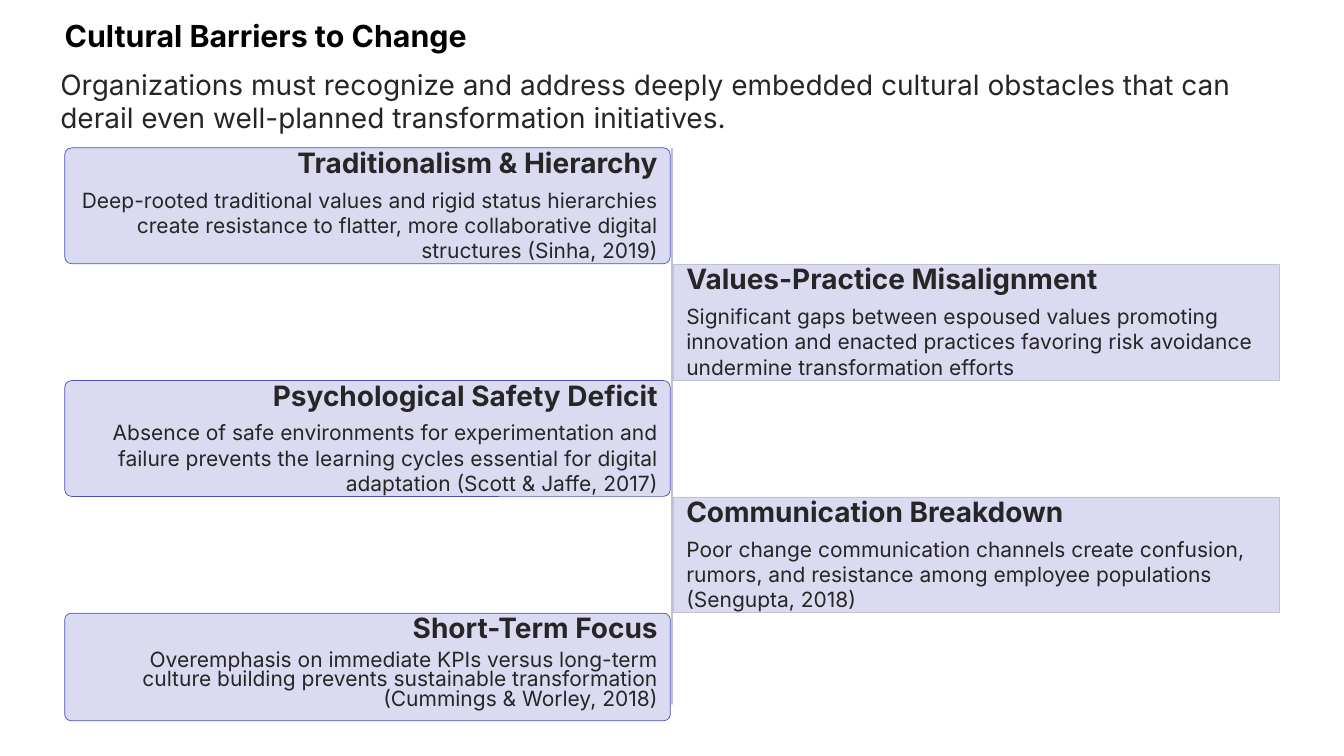
from pptx import Presentation
from pptx.dml.color import RGBColor
from pptx.enum.shapes import MSO_SHAPE
from pptx.enum.text import MSO_ANCHOR, MSO_AUTO_SIZE, PP_ALIGN
from pptx.util import Inches, Pt

RECTANGLE = MSO_SHAPE.RECTANGLE
ROUNDED = MSO_SHAPE.ROUNDED_RECTANGLE
LEFT, RIGHT = PP_ALIGN.LEFT, PP_ALIGN.RIGHT
TOP = MSO_ANCHOR.TOP
NO_AUTOFIT = MSO_AUTO_SIZE.NONE

COLORS = {
    "background": "FFFFFF",
    "title": "000000",
    "text": "272525",
    "card": "DADBF1",
    "accent": "4950BC",
    "divider": "C0C1D7",
}

TITLE = "Cultural Barriers to Change"
INTRO = (
    "Organizations must recognize and address deeply embedded cultural obstacles "
    "that can derail even well-planned transformation initiatives."
)
BARRIERS = [
    ("Traditionalism & Hierarchy",
     "Deep-rooted traditional values and rigid status hierarchies create resistance "
     "to flatter, more collaborative digital structures (Sinha, 2019)"),
    ("Values-Practice Misalignment",
     "Significant gaps between espoused values promoting innovation and enacted "
     "practices favoring risk avoidance undermine transformation efforts"),
    ("Psychological Safety Deficit",
     "Absence of safe environments for experimentation and failure prevents the "
     "learning cycles essential for digital adaptation (Scott & Jaffe, 2017)"),
    ("Communication Breakdown",
     "Poor change communication channels create confusion, rumors, and resistance "
     "among employee populations (Sengupta, 2018)"),
    ("Short-Term Focus",
     "Overemphasis on immediate KPIs versus long-term culture building prevents "
     "sustainable transformation (Cummings & Worley, 2018)"),
]

SIDES = [
    {"left": 0.77, "kind": ROUNDED, "line": "accent", "align": RIGHT},
    {"left": 8.02, "kind": RECTANGLE, "line": "divider", "align": LEFT},
]
CARD_TOP, CARD_STEP, CARD_WIDTH = 1.76, 1.385, 7.21
CARD_HEIGHT, LAST_CARD_HEIGHT = 1.38, 1.28
CORNER = 0.06
TEXT_INSET, TEXT_WIDTH = 0.15, 6.91
HEADING_OFFSET, HEADING_HEIGHT = 0.15, 0.23
DETAIL_OFFSET, DETAIL_HEIGHT = 0.47, 0.47

TITLE_FORMAT = {"size": Pt(26), "bold": True}
INTRO_FORMAT = {"size": Pt(24), "bold": False}
HEADING_FORMAT = {"size": Pt(24), "bold": True}
DETAIL_FORMAT = {"size": Pt(18), "bold": False}


def rgb(name):
    return RGBColor.from_string(COLORS[name])


def write(shape, text, font_format, color="text", align=LEFT, spacing=None,
          margins=(0, 0)):
    frame = shape.text_frame
    horizontal, vertical = (Inches(margin) for margin in margins)
    frame_format = {
        "word_wrap": True, "auto_size": NO_AUTOFIT, "vertical_anchor": TOP,
        "margin_left": horizontal, "margin_right": horizontal,
        "margin_top": vertical, "margin_bottom": vertical,
    }
    for name, value in frame_format.items():
        setattr(frame, name, value)
    frame.text = text
    paragraph = frame.paragraphs[0]
    paragraph.alignment = align
    if spacing:
        paragraph.line_spacing = Pt(spacing)
    font = paragraph.runs[0].font
    for name, value in {"name": "Inter", **font_format}.items():
        setattr(font, name, value)
    font.color.rgb = rgb(color)


def add_panel(slide, kind, box, fill, line=None):
    shape = slide.shapes.add_shape(kind, *map(Inches, box))
    shape.shadow.inherit = False
    shape.fill.solid()
    shape.fill.fore_color.rgb = rgb(fill)
    if line:
        shape.line.color.rgb = rgb(line)
        shape.line.width = Pt(0.6)
    else:
        shape.line.fill.background()
    return shape


def add_text(slide, box, text, font_format, **options):
    shape = slide.shapes.add_textbox(*map(Inches, box))
    write(shape, text, font_format, **options)


def add_barrier(slide, index, heading, detail):
    side = SIDES[index % 2]
    is_last = index == len(BARRIERS) - 1
    top = CARD_TOP + index * CARD_STEP
    height = LAST_CARD_HEIGHT if is_last else CARD_HEIGHT
    card = add_panel(slide, side["kind"], (side["left"], top, CARD_WIDTH, height),
                     "card", side["line"])
    if side["kind"] == ROUNDED:
        card.adjustments[0] = CORNER
    left = side["left"] + TEXT_INSET
    add_text(slide, (left, top + HEADING_OFFSET, TEXT_WIDTH, HEADING_HEIGHT),
             heading, HEADING_FORMAT, align=side["align"], spacing=16)
    add_text(slide, (left, top + DETAIL_OFFSET, TEXT_WIDTH, DETAIL_HEIGHT),
             detail, DETAIL_FORMAT, align=side["align"],
             spacing=16.5 if is_last else None)


def main():
    presentation = Presentation()
    presentation.slide_width = Inches(16)
    presentation.slide_height = Inches(9)
    slide = presentation.slides.add_slide(presentation.slide_layouts[5])
    slide.background.fill.solid()
    slide.background.fill.fore_color.rgb = rgb("background")

    title = slide.shapes.title
    title.left, title.top, title.width, title.height = map(
        Inches, (0.77, 0.19, 6, 0.46))
    write(title, TITLE, TITLE_FORMAT, color="title", spacing=32.5)
    add_text(slide, (0.62, 0.76, 14.73, 0.84), INTRO, INTRO_FORMAT,
             margins=(0.1, 0.04))

    divider = add_panel(slide, ROUNDED, (7.99, CARD_TOP, 0.02, 6.63), "divider")
    divider.adjustments[0] = 0.5
    for index, (heading, detail) in enumerate(BARRIERS):
        add_barrier(slide, index, heading, detail)

    presentation.save("out.pptx")


if __name__ == "__main__":
    main()
